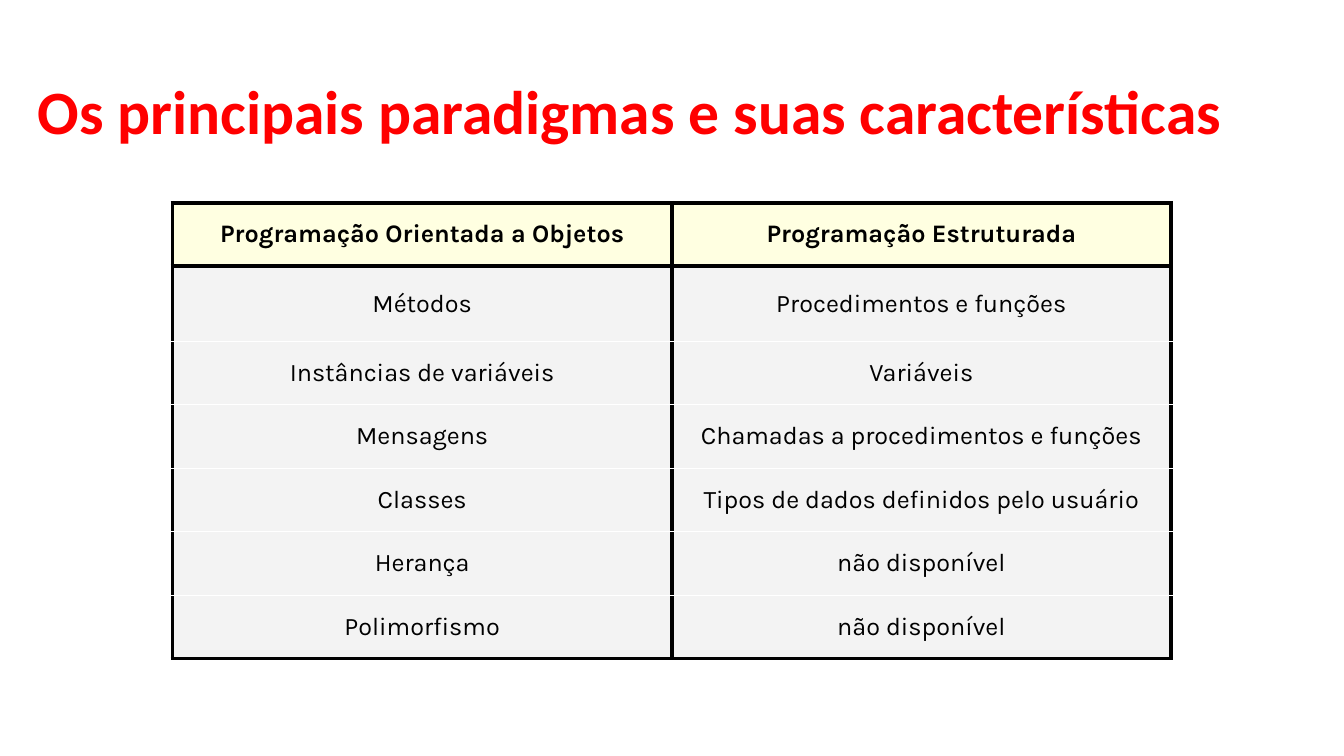
from dataclasses import dataclass

from lxml.etree import SubElement
from pptx import Presentation
from pptx.dml.color import RGBColor
from pptx.enum.text import MSO_ANCHOR, MSO_AUTO_SIZE, PP_ALIGN
from pptx.oxml.ns import qn
from pptx.util import Cm, Pt


@dataclass(frozen=True)
class Theme:
    title_font: str = "Calibri"
    body_font: str = "Karla"
    title_size: int = 44
    body_size: int = 18
    title: str = "FF0000"
    text: str = "000000"
    header_fill: str = "FFFFE1"
    body_fill: str = "F3F3F3"
    frame: tuple = ("000000", 3)
    divider: tuple = ("FFFFFF", 0.6)


THEME = Theme()
ROWS = [
    ("Programação Orientada a Objetos", "Programação Estruturada"),
    ("Métodos", "Procedimentos e funções"),
    ("Instâncias de variáveis", "Variáveis"),
    ("Mensagens", "Chamadas a procedimentos e funções"),
    ("Classes", "Tipos de dados definidos pelo usuário"),
    ("Herança", "não disponível"),
    ("Polimorfismo", "não disponível"),
]


def write_text(tf, text, *, font, size, color, bold=False, align=PP_ALIGN.LEFT):
    p = tf.paragraphs[0]
    p.alignment = align
    r = p.add_run()
    r.text = text
    r.font.name = font
    r.font.size = Pt(size)
    r.font.bold = bold
    r.font.color.rgb = RGBColor.from_string(color)


def set_borders(cell, **sides):
    tc_pr = cell._tc.get_or_add_tcPr()
    for side, (color, width) in sides.items():
        ln = SubElement(tc_pr, qn(f"a:ln{side}"), w=str(Pt(width)))
        fill = SubElement(ln, qn("a:solidFill"))
        SubElement(fill, qn("a:srgbClr"), val=color)


def add_title(s, text, left, top, width, height):
    sp = s.shapes.title
    sp.left, sp.top, sp.width, sp.height = left, top, width, height
    tf = sp.text_frame
    tf.word_wrap = True
    tf.auto_size = MSO_AUTO_SIZE.NONE
    tf.vertical_anchor = MSO_ANCHOR.MIDDLE
    write_text(tf, text, font=THEME.title_font, size=THEME.title_size,
               color=THEME.title, bold=True)


def add_comparison(s, rows, left, top, width, height):
    table = s.shapes.add_table(len(rows), len(rows[0]), left, top, width, height).table
    row_height = Cm(1.6)
    for row in table.rows:
        row.height = row_height
    table.rows[1].height = height - row_height * (len(rows) - 1)

    last = len(rows) - 1
    for i, row in enumerate(rows):
        header = i == 0
        for j, text in enumerate(row):
            cell = table.cell(i, j)
            cell.margin_left = cell.margin_right = 0
            cell.margin_top = cell.margin_bottom = 0
            cell.vertical_anchor = MSO_ANCHOR.MIDDLE
            set_borders(cell, L=THEME.frame, R=THEME.frame,
                        T=THEME.frame if i <= 1 else THEME.divider,
                        B=THEME.frame if i in (0, last) else THEME.divider)
            cell.fill.solid()
            cell.fill.fore_color.rgb = RGBColor.from_string(
                THEME.header_fill if header else THEME.body_fill)
            write_text(cell.text_frame, text, font=THEME.body_font,
                       size=THEME.body_size, color=THEME.text, bold=header,
                       align=PP_ALIGN.CENTER)


def main():
    prs = Presentation()
    prs.slide_width, prs.slide_height = Cm(33.87), Cm(19.05)
    s = prs.slides.add_slide(prs.slide_layouts[5])
    add_title(s, "Os principais paradigmas e suas características",
              Cm(0.69), Cm(1.17), Cm(30.56), Cm(3.18))
    add_comparison(s, ROWS, Cm(4.35), Cm(5.11), Cm(25.16), Cm(11.48))
    prs.save("out.pptx")


if __name__ == "__main__":
    main()
